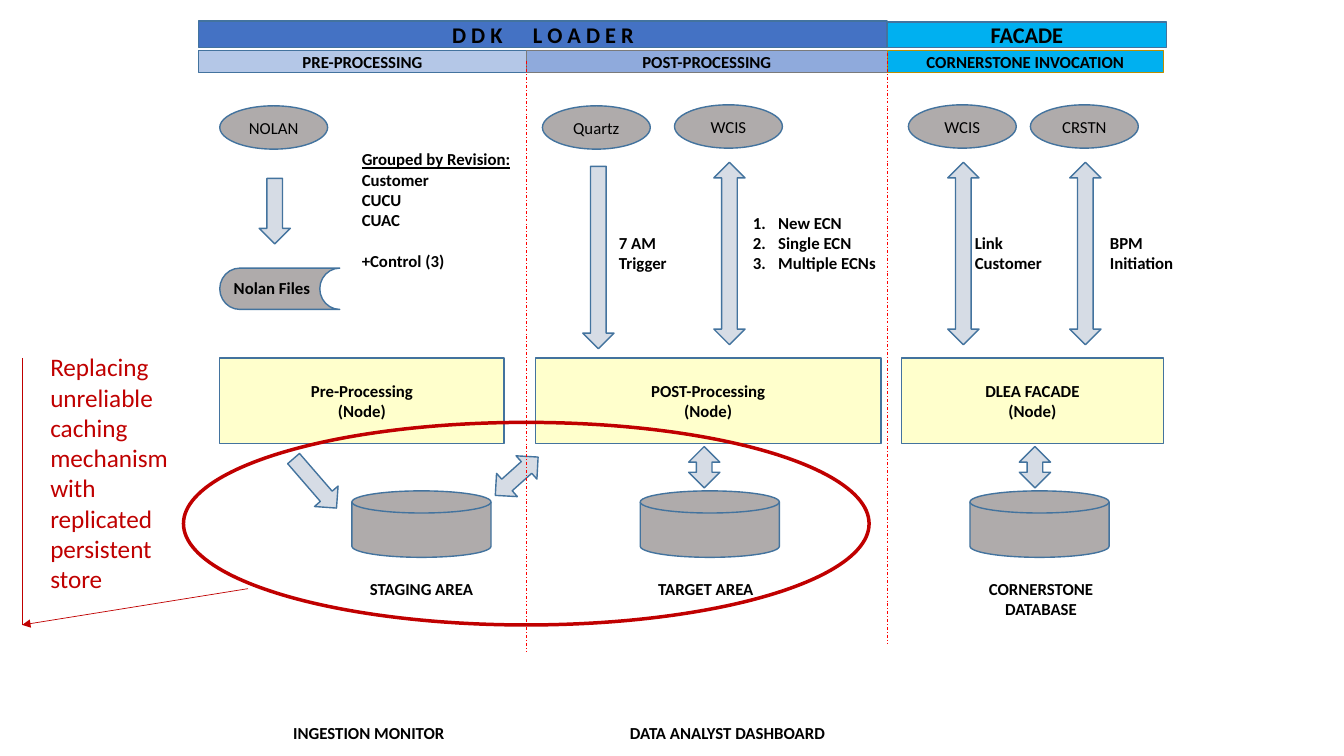
from lxml.etree import SubElement
from pptx import Presentation
from pptx.dml.color import RGBColor
from pptx.enum.dml import MSO_LINE as Dash
from pptx.enum.shapes import MSO_CONNECTOR as Conn, MSO_SHAPE as Kind
from pptx.enum.text import MSO_ANCHOR as Anchor, PP_ALIGN as Align
from pptx.oxml.ns import qn
from pptx.util import Inches, Pt

BLACK = RGBColor(0, 0, 0)
GRAY = RGBColor(0xAF, 0xAB, 0xAB)
PALE = RGBColor(0xD6, 0xDC, 0xE5)
CREAM = RGBColor(0xFF, 0xFF, 0xCC)
EDGE = RGBColor(0x43, 0x73, 0x9E)
SLATE = RGBColor(0x7A, 0x7A, 0x7A)
GOLD = RGBColor(0xBD, 0x8E, 0x00)
ROYAL = RGBColor(0x44, 0x72, 0xC4)
LIGHT = RGBColor(0xB4, 0xC7, 0xE7)
MID = RGBColor(0x8F, 0xAA, 0xDC)
SKY = RGBColor(0x00, 0xB0, 0xF0)
RED = RGBColor(0xFF, 0, 0)
CRIMSON = RGBColor(0xC0, 0, 0)

OVAL = (1.07, 0.43)
LONG = (0.31, 1.81)
SHORT = (0.31, 0.65)
SWAP = (0.31, 0.41)
DISK = (1.38, 0.66)


# Basic parts
def style(run, size, bold, color):
    font = run.font
    font.name, font.size, font.bold = "Calibri", Pt(size), bold
    font.color.rgb = color


def write(frame, text, size=12, bold=True, color=BLACK, align=Align.LEFT):
    frame.text = text
    for para in frame.paragraphs:
        para.alignment = align
        for run in para.runs:
            style(run, size, bold, color)


def draw(slide, kind, x, y, size, fill=None, text="", edge=EDGE,
         weight=1, turn=0, pt=12, bold=True):
    w, h = size
    part = slide.shapes.add_shape(kind, Inches(x), Inches(y), Inches(w), Inches(h))
    part.shadow.inherit = False
    if fill is None:
        part.fill.background()
    else:
        part.fill.solid()
        part.fill.fore_color.rgb = fill
    part.line.color.rgb = edge
    part.line.width = Pt(weight)
    part.rotation = turn
    if text:
        part.text_frame.vertical_anchor = Anchor.MIDDLE
        write(part.text_frame, text, pt, bold, align=Align.CENTER)
    return part


def label(slide, x, y, w, h, text, wrap=False, **look):
    box = slide.shapes.add_textbox(Inches(x), Inches(y), Inches(w), Inches(h))
    box.text_frame.word_wrap = wrap
    write(box.text_frame, text, **look)
    return box.text_frame.paragraphs


def rule(slide, x1, y1, x2, y2, color, dash=None, head=False):
    line = slide.shapes.add_connector(
        Conn.STRAIGHT, Inches(x1), Inches(y1), Inches(x2), Inches(y2))
    line.line.color.rgb = color
    line.line.width = Pt(0.5)
    if dash:
        line.line.dash_style = dash
    if head:
        SubElement(line.line._get_or_add_ln(), qn("a:tailEnd"), type="triangle")
    SubElement(line._element.spPr, qn("a:effectLst"))


# Parts shared by the three lanes
def system(slide, x, y, name):
    draw(slide, Kind.OVAL, x, y, OVAL, GRAY, name, bold=False)


def arrow(slide, x, y, size, both=True, turn=0):
    kind = Kind.UP_DOWN_ARROW if both else Kind.DOWN_ARROW
    draw(slide, kind, x, y, size, PALE, turn=turn)


def bar(slide, x, y, w, fill, text, edge):
    draw(slide, Kind.RECTANGLE, x, y, (w, 0.22), fill, text, edge)


def service(slide, x, y, w, text):
    draw(slide, Kind.RECTANGLE, x, y + 3.05, (w, 0.85), CREAM, text)


def store(slide, x, y):
    draw(slide, Kind.FLOWCHART_MAGNETIC_DISK, x, y + 4.37, DISK, GRAY)


# Title row, with a wide gap between the two words
def title(slide, x, y, w, side):
    band = draw(slide, Kind.RECTANGLE, x, y, (w, 0.26), ROYAL, "D D K", pt=16)
    para = band.text_frame.paragraphs[0]
    for text in (" ", "L O A D E R"):
        run = para.add_run()
        run.text = text
        style(run, 16, True, BLACK)
    para.runs[1]._r.get_or_add_rPr().set("spc", "1800")
    draw(slide, Kind.RECTANGLE, x + w, y + 0.01, (side, 0.25), SKY, "FACADE", pt=16)


# Left lane
def ingest(slide, x, y, w):
    bar(slide, x, y, w, LIGHT, "PRE-PROCESSING", EDGE)
    left = x + 0.21
    system(slide, left, y + 0.55, "NOLAN")
    arrow(slide, x + 0.6, y + 1.27, SHORT, both=False)
    draw(slide, Kind.FLOWCHART_STORED_DATA, left, y + 2.16, (1.19, 0.41), GRAY)
    label(slide, x + 0.25, y + 2.21, 1, 0.3, "Nolan Files")
    group = label(slide, x + 1.52, y + 0.93, 1.73, 1.31,
                  "Grouped by Revision:\nCustomer\nCUCU\nCUAC\n+Control (3)", wrap=True)
    group[0].runs[0].font.underline = True
    group[-1].space_before = Pt(14.65)
    service(slide, left, y, 2.82, "Pre-Processing\n(Node)")
    arrow(slide, x + 1, y + 3.97, SHORT, both=False, turn=319.1)
    arrow(slide, x + 3, y + 3.94, (0.31, 0.57), turn=48.1)
    store(slide, x + 1.52, y)
    label(slide, x + 1.6, y + 5.19, 1.24, 0.3, "STAGING AREA")
    label(slide, x + 0.84, y + 6.62, 1.72, 0.3, "INGESTION MONITOR")


# Middle lane
def enrich(slide, x, y, w):
    bar(slide, x, y, w, MID, "POST-PROCESSING", SLATE)
    rule(slide, x, y + 0.11, x, y + 5.96, RED, Dash.DASH_DOT)
    system(slide, x + 0.16, y + 0.55, "Quartz")
    system(slide, x + 1.47, y + 0.54, "WCIS")
    arrow(slide, x + 0.56, y + 1.15, LONG, both=False)
    arrow(slide, x + 1.86, y + 1.11, LONG)
    label(slide, x + 0.82, y + 1.76, 0.68, 0.51, "7 AM\nTrigger")
    steps = label(slide, x + 2.15, y + 1.56, 1.47, 0.71,
                  "New ECN\nSingle ECN\nMultiple ECNs", wrap=True)
    for para in steps:
        props = para._p.get_or_add_pPr()
        props.set("marL", str(Inches(0.25)))
        props.set("indent", str(Inches(-0.25)))
        SubElement(props, qn("a:buFont"), typeface="+mj-lt")
        SubElement(props, qn("a:buAutoNum"), type="arabicPeriod")
    service(slide, x + 0.09, y, 3.43, "POST-Processing\n(Node)")
    arrow(slide, x + 1.61, y + 3.93, SWAP)
    store(slide, x + 1.13, y)
    label(slide, x + 1.21, y + 5.19, 1.16, 0.3, "TARGET AREA")
    label(slide, x + 0.93, y + 6.62, 2.16, 0.3, "DATA ANALYST DASHBOARD")


# Right lane
def facade(slide, x, y, w):
    bar(slide, x, y, w, SKY, "CORNERSTONE INVOCATION", GOLD)
    rule(slide, x, y + 0.03, x, y + 5.88, RED, Dash.DASH_DOT)
    calls = ((0.21, "WCIS", 0.77, "Link\nCustomer"),
             (1.42, "CRSTN", 2.11, "BPM\nInitiation"))
    for dx, name, tx, text in calls:
        system(slide, x + dx, y + 0.54, name)
        arrow(slide, x + dx + 0.39, y + 1.11, LONG)
        label(slide, x + tx, y + 1.76, 0.9, 0.51, text, wrap=True)
    service(slide, x + 0.14, y, 2.6, "DLEA FACADE\n(Node)")
    arrow(slide, x + 1.31, y + 3.93, SWAP)
    store(slide, x + 0.82, y)
    label(slide, x + 0.9, y + 5.19, 1.25, 0.51, "CORNERSTONE\nDATABASE",
          align=Align.CENTER)


# Red callout around the stores
def callout(slide, x, y, h):
    draw(slide, Kind.OVAL, x + 1.6, y + 0.64, (6.8, 2.01), edge=CRIMSON, weight=2.5)
    label(slide, x + 0.18, y - 0.11, 1.52, 2.52,
          "Replacing unreliable caching mechanism with replicated persistent store",
          wrap=True, size=18, bold=False, color=CRIMSON)
    rule(slide, x, y, x, y + h, CRIMSON)
    rule(slide, x + 2.24, y + 2.29, x, y + h, CRIMSON, head=True)


def main():
    deck = Presentation()
    deck.slide_width, deck.slide_height = Inches(13.33), Inches(7.5)
    slide = deck.slides.add_slide(deck.slide_layouts[6])
    ingest(slide, 1.97, 0.5, 3.25)
    enrich(slide, 5.22, 0.5, 3.58)
    facade(slide, 8.8, 0.5, 2.74)
    title(slide, 1.97, 0.21, 6.83, 2.77)
    callout(slide, 0.22, 3.55, 2.65)
    deck.save("out.pptx")


if __name__ == "__main__":
    main()
